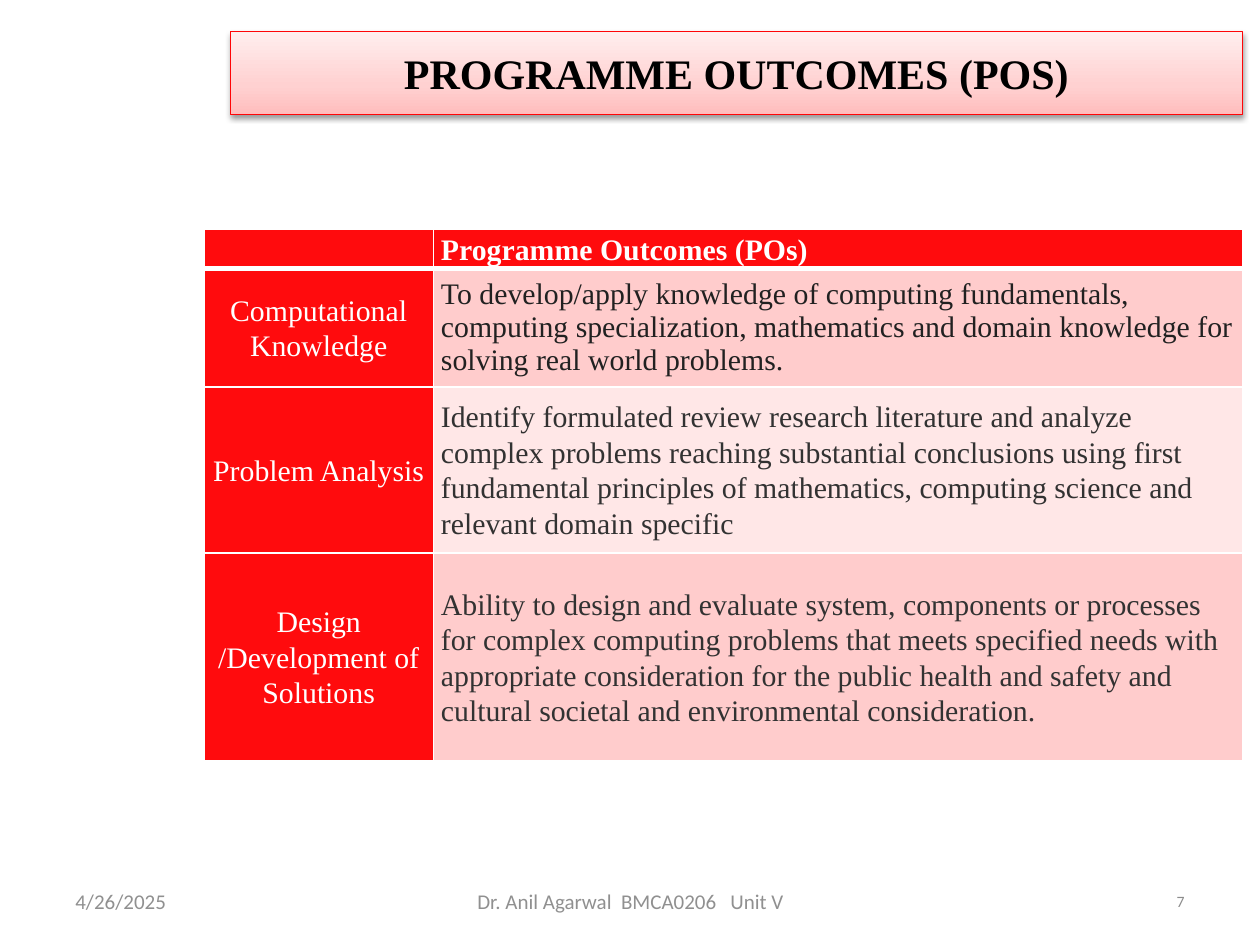
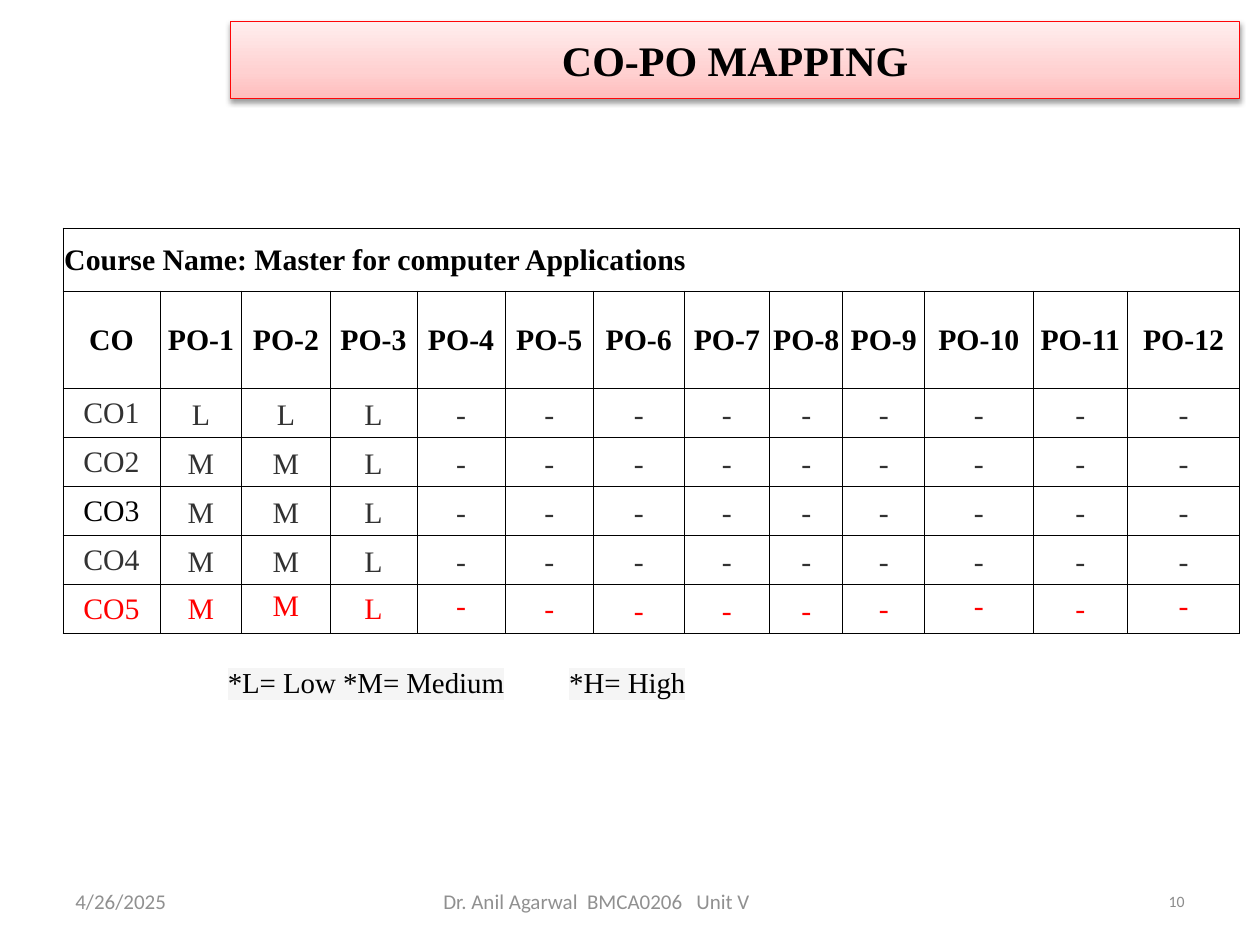
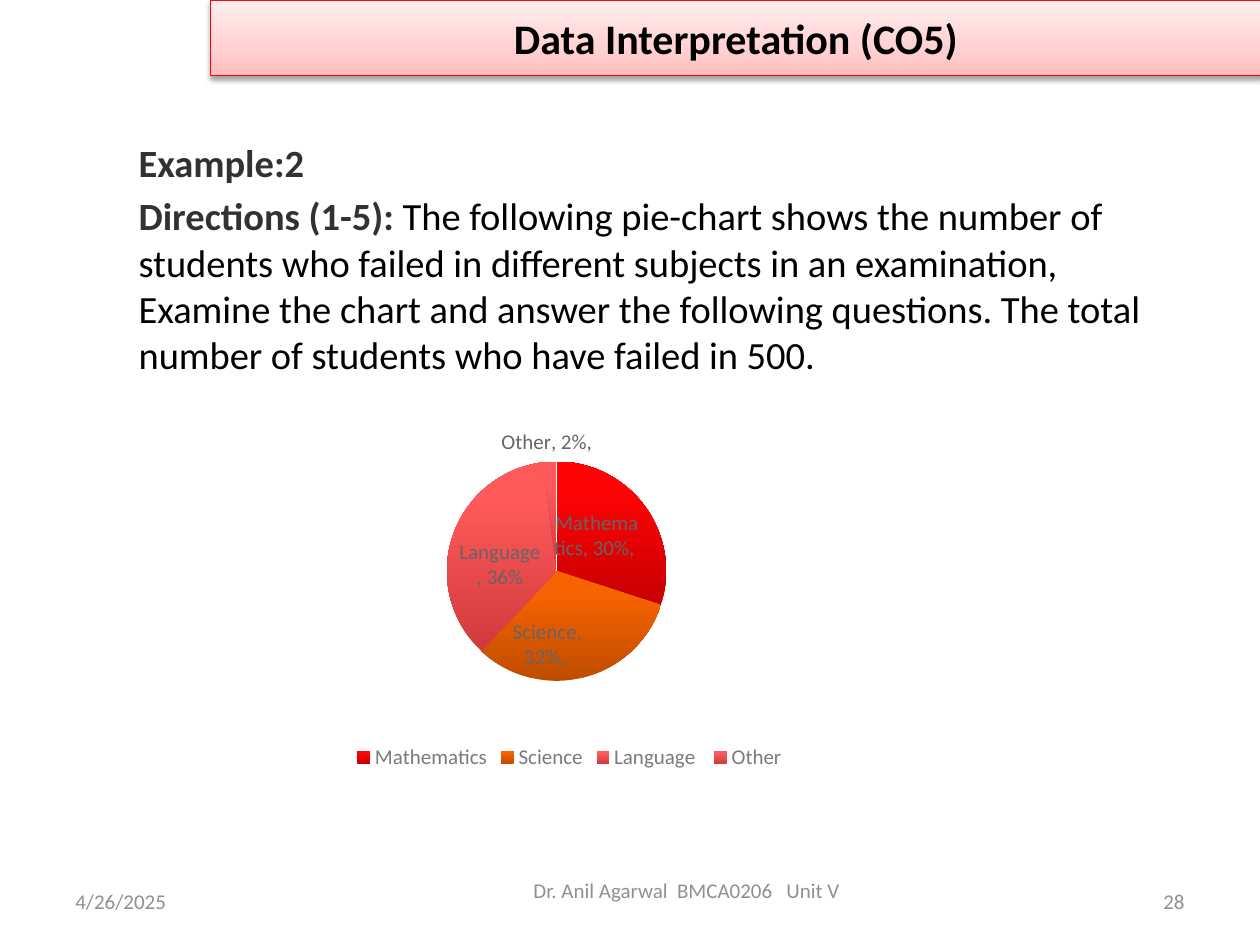
import copy
import pptx
import pptx.util
import pptx.dml.color
import pptx.enum.text
import pptx.enum.chart
import pptx.chart.data
import pptx.oxml
import pptx.oxml.ns

Inches = pptx.util.Inches
Pt = pptx.util.Pt
RGBColor = pptx.dml.color.RGBColor
Align = pptx.enum.text.PP_ALIGN
Anchor = pptx.enum.text.MSO_ANCHOR
Place = pptx.enum.chart.XL_LABEL_POSITION
qn = pptx.oxml.ns.qn
NS = pptx.oxml.ns.nsdecls("a", "c")

BLACK = RGBColor(0x00, 0x00, 0x00)
WHITE = RGBColor(0xFF, 0xFF, 0xFF)
RED = RGBColor(0xFF, 0x00, 0x00)
EDGE = RGBColor(0xFF, 0x05, 0x07)
HEAD = RGBColor(0xFF, 0x0B, 0x0D)
PINK = RGBColor(0xFF, 0xCC, 0xCC)
PALE = RGBColor(0xFF, 0xE7, 0xE7)
DARK = RGBColor(0x32, 0x32, 0x32)
INK = RGBColor(0x21, 0x21, 0x21)
GREY = RGBColor(0x90, 0x90, 0x90)
DIM = RGBColor(0x8C, 0x8C, 0x8C)
KEY = RGBColor(0x7A, 0x7A, 0x7A)
LABEL = RGBColor(0x65, 0x65, 0x65)
BAND = [(0, RGBColor(0xFF, 0xBD, 0xBD)), (0.35, RGBColor(0xFF, 0xD1, 0xD1)),
        (1, RGBColor(0xFF, 0xEE, 0xEE))]
ROSE = [(0, RGBColor(0xD0, 0x3A, 0x3B)), (0.8, RGBColor(0xFF, 0x5A, 0x5B)),
        (1, RGBColor(0xFF, 0x5C, 0x5D))]
FIRE = [(0, RGBColor(0xC6, 0x00, 0x02)), (0.8, RGBColor(0xFF, 0x03, 0x05)),
        (1, RGBColor(0xFF, 0x04, 0x06))]
RUST = [(0, RGBColor(0xBE, 0x4C, 0x00)), (0.8, RGBColor(0xF7, 0x63, 0x00)),
        (1, RGBColor(0xF8, 0x63, 0x00))]

SANS, SERIF = "Calibri", "Times New Roman"
DATE = "4/26/2025"
AUTHOR = "Dr. Anil Agarwal  BMCA0206   Unit V"

GOALS = [
    ("Computational Knowledge",
     "To develop/apply knowledge of computing fundamentals, computing specialization, "
     "mathematics and domain knowledge for solving real world problems.", INK, 1, PINK),
    ("Problem Analysis",
     "Identify formulated review research literature and analyze complex problems reaching "
     "substantial conclusions using first fundamental principles of mathematics, computing "
     "science and relevant domain specific", DARK, 1.07, PALE),
    ("Design /Development of Solutions",
     "Ability to design and evaluate system, components or processes for complex computing "
     "problems that meets specified needs with appropriate consideration for the public health "
     "and safety and cultural societal and environmental consideration.", DARK, 1.07, PINK),
]

COURSE = "Course Name: Master for computer Applications"
LEVELS = ["LLL", "MML", "MML", "MML", "MML"]
POS = 12
LAST = "ptptpsssptpt"
SCALE = "*L= Low *M= Medium\t*H= High"

TASK = [
    [("Example:2", True)],
    [("Directions (1-5): ", True),
     ("The following pie-chart shows the number of students who failed in different subjects "
      "in an examination, Examine the chart and answer the following questions. The total "
      "number of students who have failed in 500.", False)],
]
FAILS = [
    ("Mathematics", 0.3, "Mathematics, 30%, ", FIRE, Place.INSIDE_END),
    ("Science", 0.32, "Science, 32%, ", RUST, Place.INSIDE_END),
    ("Language ", 0.36, "Language , 36%", ROSE, Place.INSIDE_END),
    ("Other", 0.02, "Other, 2%, ", ROSE, Place.OUTSIDE_END),
]


def style(font, size, color, face=SANS, bold=False):
    font.size, font.name, font.bold = Pt(size), face, bold
    font.color.rgb = color


def blend(fill, stops):
    fill.gradient()
    fill.gradient_angle = 90
    marks = fill._xPr.find(qn("a:gradFill")).find(qn("a:gsLst"))
    marks.append(copy.deepcopy(marks[0]))
    for mark, (pos, color) in zip(fill.gradient_stops, stops):
        mark.position = pos
        mark.color.rgb = color


def put(shape, box):
    shape.left, shape.top, shape.width, shape.height = map(Inches, box)


def write(para, text, size, color, face=SANS, bold=False, align=None):
    para.text = text
    para.alignment = align
    for run in para.runs:
        style(run.font, size, color, face, bold)


def note(slide, box, text, size, color, face=SANS, align=None, anchor=Anchor.MIDDLE):
    frame = slide.shapes.add_textbox(*map(Inches, box)).text_frame
    frame.word_wrap = True
    frame.vertical_anchor = anchor
    write(frame.paragraphs[0], text, size, color, face, align=align)
    return frame.paragraphs[0]


def start(deck, layout, title, box, face, page, size=9, tone=DIM,
          foot=(3.42, 6.95, 3.17, 0.4), align=Align.CENTER):
    slide = deck.slides.add_slide(deck.slide_layouts[layout])
    band = slide.shapes.title
    put(band, box)
    blend(band.fill, BAND)
    band.line.color.rgb = EDGE
    band.line.width = Pt(0.75)
    band._element.spPr.append(pptx.oxml.parse_xml(
        f'<a:effectLst {NS}><a:outerShdw blurRad="40000" dist="20000" dir="5400000" '
        'rotWithShape="0"><a:srgbClr val="000000"><a:alpha val="38000"/></a:srgbClr>'
        '</a:outerShdw></a:effectLst>'))
    band.text_frame.vertical_anchor = Anchor.MIDDLE
    write(band.text_frame.paragraphs[0], title, 24, BLACK, face, True, Align.CENTER)
    note(slide, (0.5, 6.95, 2.33, 0.4), DATE, 12, GREY)
    note(slide, foot, AUTHOR, 12, GREY, align=align)
    note(slide, (7.17, 6.95, 2.33, 0.4), page, size, tone, align=Align.RIGHT)
    return slide


def grid(slide, left, top, cols, rows):
    frame = slide.shapes.add_table(len(rows), len(cols), Inches(left), Inches(top),
                                   Inches(sum(cols)), Inches(sum(rows)))
    table = frame.table
    table.first_row = table.horz_banding = False
    for col, width in zip(table.columns, cols):
        col.width = Inches(width)
    for row, height in zip(table.rows, rows):
        row.height = Inches(height)
    return table


def edge(cell, color, width, base=None):
    props = cell._tc.get_or_add_tcPr()
    for side in "LRTB":
        wide = base if base and side == "B" else width
        props.append(pptx.oxml.parse_xml(
            f'<a:ln{side} {NS} w="{Pt(wide)}"><a:solidFill><a:srgbClr val="{color}"/>'
            f'</a:solidFill></a:ln{side}>'))


def fill_cell(cell, text, color, bold=False, align=None, pad=(0.06, 0), low=None,
              space=None, after=None, anchor=Anchor.MIDDLE):
    cell.margin_left = cell.margin_right = Inches(pad[0])
    cell.margin_top = Inches(pad[1])
    cell.margin_bottom = Inches(pad[1] if low is None else low)
    cell.vertical_anchor = anchor
    para = cell.text_frame.paragraphs[0]
    write(para, text, 17, color, SERIF, bold, align)
    para.line_spacing = space
    if after:
        para.space_after = Pt(after)


def outcomes(deck):
    slide = start(deck, 5, "PROGRAMME OUTCOMES (POS)", (1.83, 0.25, 8.03, 0.66), SERIF, "7")
    table = grid(slide, 1.62, 1.82, [1.82, 6.42], [0.31, 0.94, 1.32, 1.65])
    rows = [("", "Programme Outcomes (POs)", WHITE, 1.07, HEAD)] + GOALS
    for r, (name, text, color, space, back) in enumerate(rows):
        pair = [(name, WHITE, Align.CENTER, 1.07, HEAD), (text, color, None, space, back)]
        for c, (words, tone, align, gap, shade) in enumerate(pair):
            cell = table.cell(r, c)
            edge(cell, WHITE, 1, 3 if r == 0 else None)
            cell.fill.solid()
            cell.fill.fore_color.rgb = shade
            fill_cell(cell, words, tone, r == 0, align, space=gap)


def mapping(deck):
    slide = start(deck, 5, "CO-PO MAPPING", (1.83, 0.17, 8.01, 0.61), SERIF, "10",
                  align=Align.JUSTIFY)
    cols = [0.77, 0.65, 0.7, 0.69, 0.7, 0.7, 0.72, 0.68, 0.58, 0.65, 0.86, 0.75, 0.89]
    table = grid(slide, 0.5, 1.81, cols, [0.5, 0.77] + [0.39] * len(LEVELS))
    for cell in table.iter_cells():
        edge(cell, BLACK, 0.5)
        cell.fill.background()
    tight = {"pad": (0.01, 0.01), "low": 0}
    kinds = {"s": {"space": 1.15, "after": 10}, "p": {},
             "t": {"pad": (0.07, 0.04), "anchor": Anchor.TOP}}
    table.cell(0, 0).merge(table.cell(0, POS))
    fill_cell(table.cell(0, 0), COURSE, BLACK, True, **tight)
    for c in range(POS + 1):
        head = f"PO-{c}" if c else "CO"
        fill_cell(table.cell(1, c), head, BLACK, True, Align.CENTER, **tight)
    for n, marks in enumerate(LEVELS, 1):
        last = n == len(LEVELS)
        tone = RED if last else DARK
        fill_cell(table.cell(n + 1, 0), f"CO{n}", BLACK if n == 3 else tone,
                  align=Align.CENTER, **tight)
        kind = LAST if last else "s" * POS
        for c, mark in enumerate(marks.ljust(POS, "-")):
            fill_cell(table.cell(n + 1, c + 1), mark, tone, align=Align.CENTER,
                      **kinds[kind[c]])
    para = note(slide, (1.71, 5.23, 5, 0.66), SCALE, 16.5, BLACK, SERIF, anchor=Anchor.TOP)
    para._p.get_or_add_pPr().append(pptx.oxml.parse_xml(
        f'<a:tabLst {NS}><a:tab pos="{Inches(2.71)}" algn="l"/></a:tabLst>'))
    for run in para.runs:
        run._r.rPr.find(qn("a:solidFill")).addnext(pptx.oxml.parse_xml(
            f'<a:highlight {NS}><a:srgbClr val="F5F5F5"/></a:highlight>'))


def pie(slide):
    data = pptx.chart.data.CategoryChartData(number_format="0%")
    data.categories = [row[0] for row in FAILS]
    data.add_series("Series 1", [row[1] for row in FAILS])
    chart = slide.shapes.add_chart(
        pptx.enum.chart.XL_CHART_TYPE.PIE, Inches(1.96), Inches(3.29), Inches(5.12),
        Inches(2.86), data).chart
    style(chart.font, 10, DARK)
    chart.has_title = False
    chart.has_legend = True
    chart.legend.position = pptx.enum.chart.XL_LEGEND_POSITION.BOTTOM
    chart.legend.include_in_layout = False
    style(chart.legend.font, 12, KEY)
    plot = chart.plots[0]
    plot.vary_by_categories = True
    series = plot.series[0]
    labels = series.data_labels
    labels.show_value = labels.show_percentage = labels.show_category_name = True
    labels.number_format, labels.number_format_is_linked = "0%", False
    labels.position = Place.INSIDE_END
    style(labels.font, 12, LABEL)
    for i, (name, value, text, stops, place) in enumerate(FAILS):
        point = series.points[i]
        blend(point.format.fill, stops)
        write(point.data_label.text_frame.paragraphs[0], text, 12, LABEL)
        point.data_label.position = place
    area = chart._chartSpace.chart.plotArea
    for old in area.findall(qn("c:layout")):
        area.remove(old)
    spots = {"x": 0.31, "y": 0.13, "w": 0.34, "h": 0.61}
    parts = "".join(f'<c:{k} val="{v}"/>' for k, v in spots.items())
    area.insert(0, pptx.oxml.parse_xml(
        f'<c:layout {NS}><c:manualLayout><c:layoutTarget val="inner"/>'
        f'<c:xMode val="edge"/><c:yMode val="edge"/>{parts}</c:manualLayout></c:layout>'))


def example(deck):
    slide = start(deck, 1, "Data Interpretation (CO5)", (1.67, 0, 8.34, 0.6), SANS, "28",
                  12, GREY, (2.82, 6.96, 5.26, 0.21))
    body = slide.placeholders[1]
    put(body, (1, 1.05, 8.39, 5.01))
    frame = body.text_frame
    frame.text = "\n".join("" for _ in TASK)
    for para, runs in zip(frame.paragraphs, TASK):
        props = para._p.get_or_add_pPr()
        props.set("marL", "0")
        props.set("indent", "0")
        props.append(pptx.oxml.parse_xml(f"<a:buNone {NS}/>"))
        for text, bold in runs:
            run = para.add_run()
            run.text = text
            style(run.font, 22, DARK if bold else BLACK, bold=bold)
    pie(slide)


def main():
    deck = pptx.Presentation()
    deck.slide_width, deck.slide_height = Inches(10), Inches(7.5)
    outcomes(deck)
    mapping(deck)
    example(deck)
    deck.save("out.pptx")


if __name__ == "__main__":
    main()
